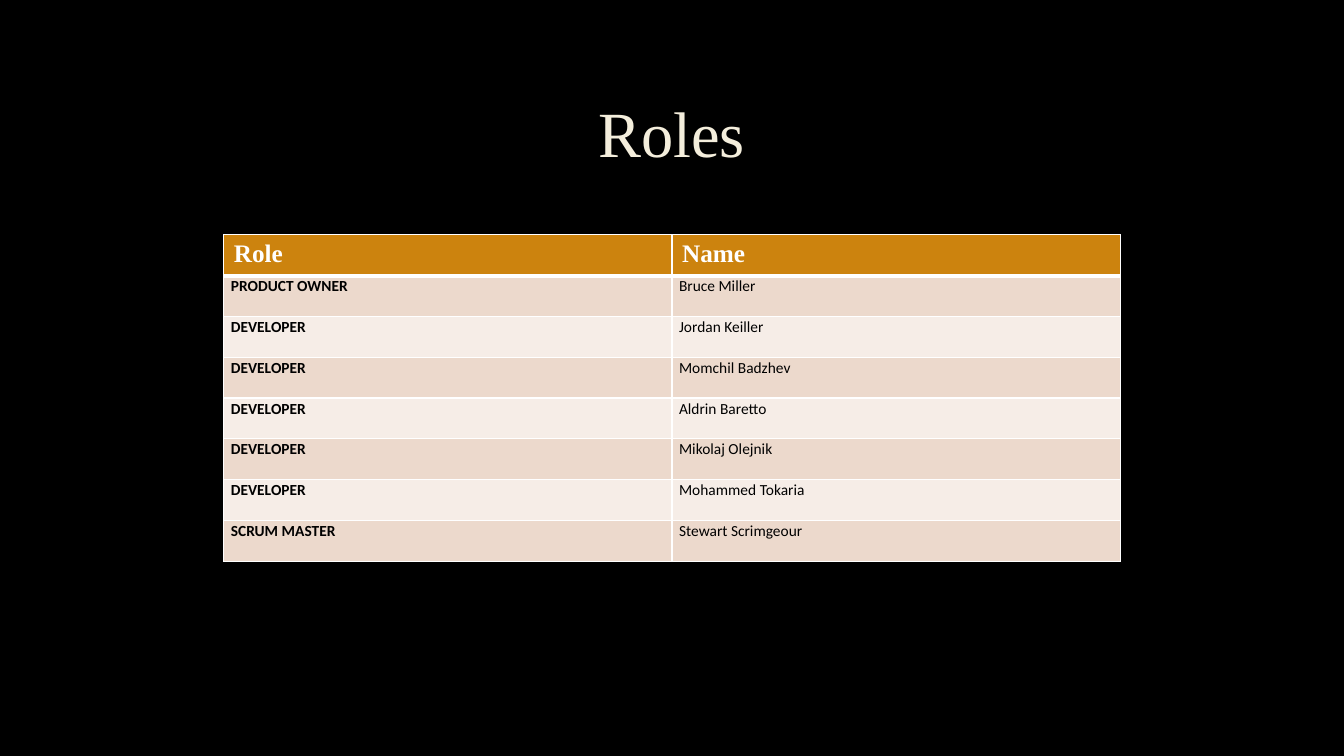
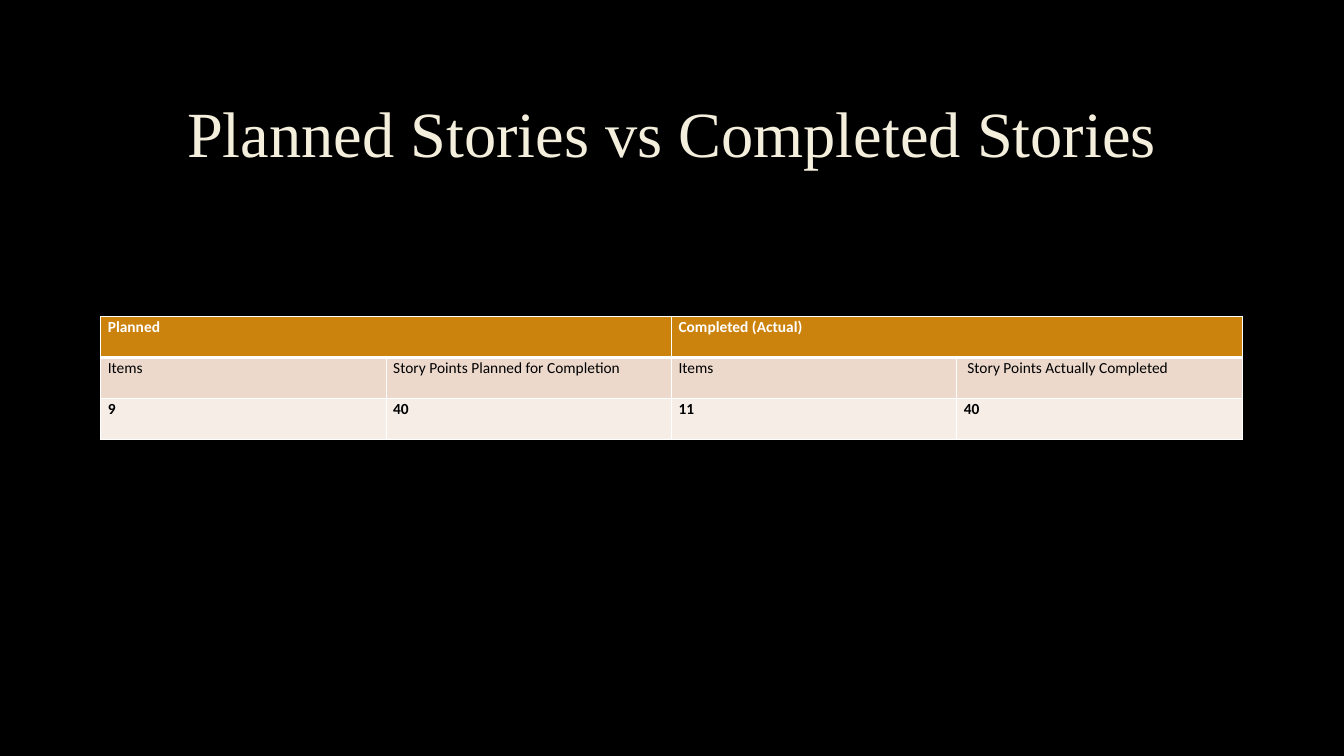
"""Build two sprint review slides: team roles, and planned against completed stories."""
from dataclasses import dataclass

import pptx
import pptx.dml.color
import pptx.enum.text
import pptx.oxml
import pptx.oxml.ns
import pptx.util
from pptx.util import Inches


@dataclass(frozen=True)
class Theme:
    """Colours, fonts and type sizes shared by the slides."""
    background: str = "000000"
    title: str = "F4EEDC"
    header_fill: str = "CC830E"
    header_text: str = "FFFFFF"
    body_text: str = "000000"
    bands: tuple = ("ECD9CC", "F6EDE7")
    border: str = "FFFFFF"
    serif: str = "Times New Roman"
    sans: str = "Calibri"
    title_size: int = 46
    heading_size: int = 18
    cell_size: int = 11
    border_width: int = 1
    header_rule: int = 3


THEME = Theme()

SLIDES = [
    {
        "title": "Roles",
        "box": (2.22, 2.33, 8.89, 3.24),
        "large_header": True,
        "bold_column": 0,
        "bold_row": None,
        "rows": [
            ("Role", "Name"),
            ("PRODUCT OWNER", "Bruce Miller"),
            ("DEVELOPER", "Jordan Keiller"),
            ("DEVELOPER", "Momchil Badzhev"),
            ("DEVELOPER", "Aldrin Baretto"),
            ("DEVELOPER", "Mikolaj Olejnik"),
            ("DEVELOPER", "Mohammed Tokaria"),
            ("SCRUM MASTER", "Stewart Scrimgeour"),
        ],
    },
    {
        "title": "Planned Stories vs Completed Stories",
        "box": (1, 3.14, 11.32, 1.22),
        "large_header": False,
        "bold_column": None,
        "bold_row": 2,
        "rows": [
            ("Planned", None, "Completed (Actual)", None),
            ("Items", "Story Points Planned for Completion",
             "Items", " Story Points Actually Completed"),
            ("9", "40", "11", "40"),
        ],
    },
]


def rgb(colour):
    """Turn a hex string into a colour."""
    return pptx.dml.color.RGBColor.from_string(colour)


def style_text(paragraph, font, size, colour, bold):
    """Format every run of a paragraph."""
    for run in paragraph.runs:
        run.font.name = font
        run.font.size = pptx.util.Pt(size)
        run.font.color.rgb = rgb(colour)
        run.font.bold = bold


def add_borders(cell, row):
    """Draw the four cell edges, with a heavy rule below the header row."""
    properties = cell._tc.get_or_add_tcPr()
    heavy_edge = {0: "B", 1: "T"}.get(row)
    for edge in "LRTB":
        width = THEME.header_rule if edge == heavy_edge else THEME.border_width
        properties.append(pptx.oxml.parse_xml(
            f'<a:ln{edge} {pptx.oxml.ns.nsdecls("a")} w="{pptx.util.Pt(width)}">'
            f'<a:solidFill><a:srgbClr val="{THEME.border}"/></a:solidFill></a:ln{edge}>'))


def fill_cell(cell, text, row, bold, large):
    """Give one cell its borders, fill and text."""
    header = row == 0
    add_borders(cell, row)
    cell.fill.solid()
    band = THEME.bands[(row - 1) % len(THEME.bands)]
    cell.fill.fore_color.rgb = rgb(THEME.header_fill if header else band)
    if text is None:
        return
    paragraph = cell.text_frame.paragraphs[0]
    paragraph.text = text
    if not large:
        cell.margin_left = cell.margin_right = Inches(0.07)
        cell.margin_top = cell.margin_bottom = 0
        paragraph.line_spacing = 1.07
        paragraph.space_after = pptx.util.Pt(8)
    style_text(paragraph,
               THEME.serif if large else THEME.sans,
               THEME.heading_size if large else THEME.cell_size,
               THEME.header_text if header else THEME.body_text,
               bold)


def add_title(slide, text):
    """Place and format the slide title."""
    title = slide.shapes.title
    title.left, title.top, title.width, title.height = map(Inches, (1, 0.67, 11.32, 1.38))
    title.text_frame.text = text
    title.text_frame.vertical_anchor = pptx.enum.text.MSO_ANCHOR.MIDDLE
    paragraph = title.text_frame.paragraphs[0]
    paragraph.alignment = pptx.enum.text.PP_ALIGN.CENTER
    paragraph.line_spacing = 0.9
    style_text(paragraph, THEME.serif, THEME.title_size, THEME.title, False)


def add_grid(slide, content):
    """Add the table, merging each header over the empty cell to its right."""
    rows = content["rows"]
    grid = slide.shapes.add_table(len(rows), len(rows[0]),
                                  *map(Inches, content["box"])).table
    for row, texts in enumerate(rows):
        for column, text in enumerate(texts):
            bold = row == 0 or column == content["bold_column"] or row == content["bold_row"]
            large = row == 0 and content["large_header"]
            fill_cell(grid.cell(row, column), text, row, bold, large)
            if text is None:
                grid.cell(row, column - 1).merge(grid.cell(row, column))


def main():
    """Build and save the presentation."""
    deck = pptx.Presentation()
    deck.slide_width, deck.slide_height = Inches(13.33), Inches(7.5)
    backdrop = deck.slide_master.background.fill
    backdrop.solid()
    backdrop.fore_color.rgb = rgb(THEME.background)
    title_only = deck.slide_layouts.get_by_name("Title Only")
    for content in SLIDES:
        slide = deck.slides.add_slide(title_only)
        add_title(slide, content["title"])
        add_grid(slide, content)
    deck.save("out.pptx")


if __name__ == "__main__":
    main()
